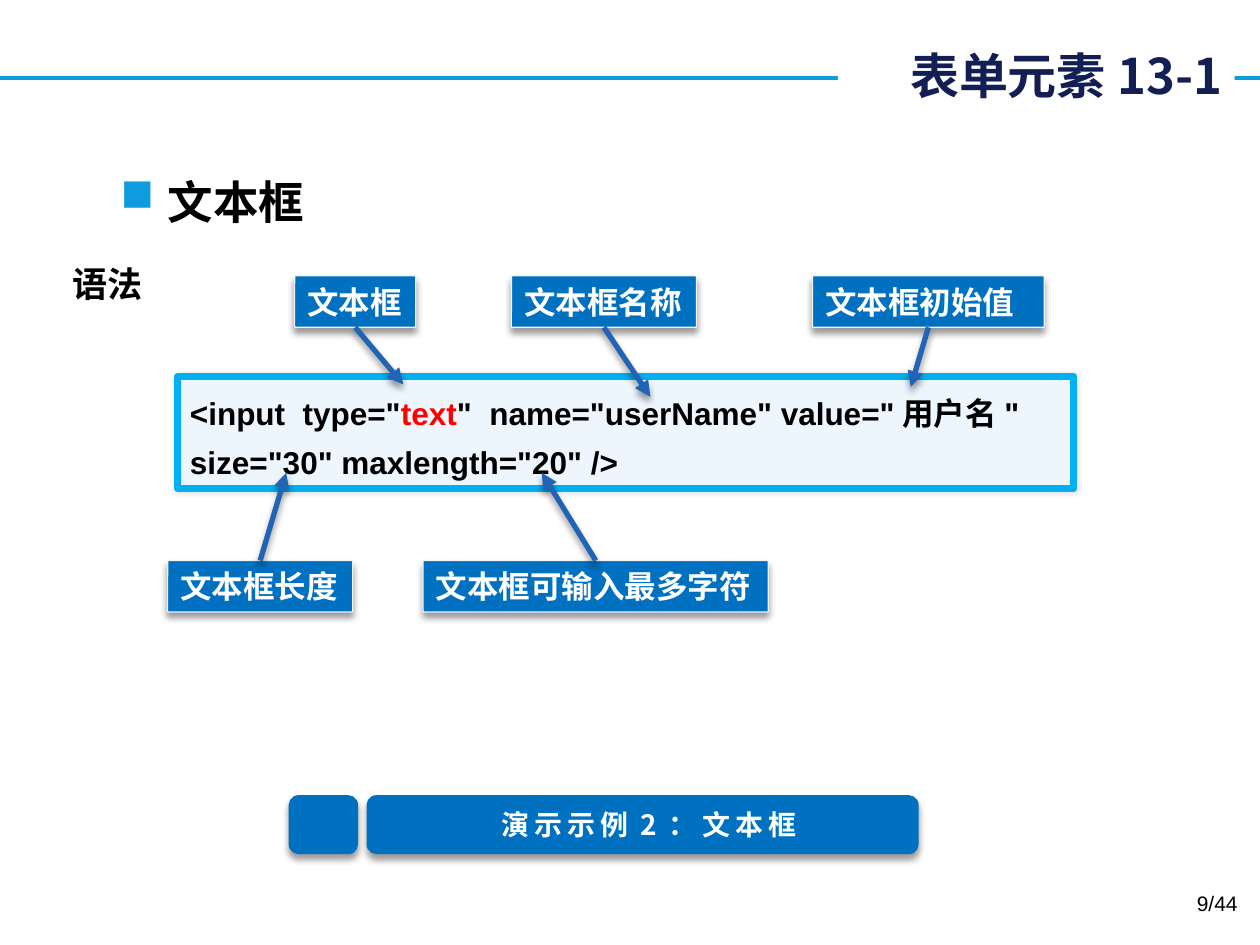
"""Builds a slide that explains the syntax of an HTML text box."""
from lxml import etree
from pptx import Presentation, util as u
from pptx.dml import color
from pptx.enum import shapes, text
from pptx.oxml.ns import qn

CJK = "Noto Sans CJK SC"
BLUE = "0070C0"
LABEL_HEIGHT = 1.04
LABELS = [
    ("文本框", 5.94, 5.56, 2.44, 8.13, 7.75),
    ("文本框名称", 10.31, 5.56, 3.73, 13.11, 8.0),
    ("文本框初始值", 16.38, 5.56, 4.67, 18.36, 7.8),
    ("文本框长度", 3.38, 11.3, 3.73, 5.77, 9.53),
    ("文本框可输入最多字符", 8.53, 11.3, 6.96, 10.92, 9.53),
]


def rgb(value):
    """Turn a hex string into a colour."""
    return color.RGBColor.from_string(value)


def add_node(parent, tag, **attributes):
    """Append a drawing element to its parent."""
    return etree.SubElement(parent, qn(tag), {k: str(v) for k, v in attributes.items()})


def add_shadow(effects, opacity=40, blur=4, distance=3, angle=90):
    """Put a black outer shadow in an effect list."""
    shadow = add_node(effects, "a:outerShdw", blurRad=u.Pt(blur), dist=u.Pt(distance),
                      dir=angle * 60000, algn="ctr", rotWithShape=0)
    black = add_node(shadow, "a:srgbClr", val="000000")
    add_node(black, "a:alpha", val=opacity * 1000)


def set_font(para, size, hue="000000", bold=True, name="Arial"):
    """Set the font of a paragraph and return its properties element."""
    font = para.font
    font.size, font.bold, font.name = u.Pt(size), bold, name
    font.color.rgb = rgb(hue)
    properties = para._p.pPr.find(qn("a:defRPr"))
    east_asian = etree.Element(qn("a:ea"), typeface=CJK)
    properties.find(qn("a:latin")).addnext(east_asian)
    return properties


def write(shape, words, size, hue="000000", align="LEFT", anchor="MIDDLE",
          wrap=True, **font):
    """Fill a shape with one paragraph and return the paragraph."""
    frame = shape.text_frame
    frame.word_wrap = wrap
    frame.vertical_anchor = text.MSO_ANCHOR[anchor]
    para = frame.paragraphs[0]
    para.alignment = text.PP_ALIGN[align]
    para.add_run().text = words
    set_font(para, size, hue, **font)
    return para


def add_text(page, place, words, size, **style):
    """Add a text box with one paragraph and return the paragraph."""
    box = page.shapes.add_textbox(*map(u.Cm, place))
    return write(box, words, size, **style)


def add_block(page, place, fill, rounding=None, line=None, width=0.75, shadow=None):
    """Add a rounded rectangle with a shadow."""
    block = page.shapes.add_shape(shapes.MSO_SHAPE.ROUNDED_RECTANGLE, *map(u.Cm, place))
    if rounding is not None:
        block.adjustments[0] = rounding
    block.fill.solid()
    block.fill.fore_color.rgb = rgb(fill)
    if line:
        block.line.color.rgb = rgb(line)
        block.line.width = u.Pt(width)
    else:
        block.line.fill.background()
    block.shadow.inherit = False
    add_shadow(block._element.spPr.find(qn("a:effectLst")), **(shadow or {}))
    return block


def add_line(page, points, hue, width):
    """Add a straight line and return it with its empty effect list."""
    line = page.shapes.add_connector(shapes.MSO_CONNECTOR.STRAIGHT, *map(u.Cm, points))
    line.line.color.rgb = rgb(hue)
    line.line.width = u.Pt(width)
    return line, add_node(line._element.spPr, "a:effectLst")


def add_label(page, words, left, top, width, tip_x, tip_y):
    """Add a label with an arrow to the code it explains."""
    label = add_block(page, (left, top, width, LABEL_HEIGHT), BLUE, 0.02, "F2F2F2")
    label.text_frame.margin_right = 0
    label.text_frame.margin_top = label.text_frame.margin_bottom = 0
    write(label, words, 18, "FFFFFF")
    arrow, effects = add_line(page, (left, top, tip_x, tip_y), "2163B4", 3)
    arrow.begin_connect(label, 2 if tip_y > top else 0)
    add_node(arrow.line._get_or_add_ln(), "a:tailEnd", type="triangle")
    add_shadow(effects)


def add_title(page):
    """Add the rule across the page and the title over it."""
    add_line(page, (0, 1.58, 25.4, 1.58), "0E9CDE", 2.25)
    title = page.shapes.add_textbox(*map(u.Cm, (16.89, 0.2, 8.0, 2.64)))
    title.fill.solid()
    title.fill.fore_color.rgb = rgb("FFFFFF")
    write(title, "表单元素13-1", 28, "121E54", "RIGHT", name=CJK)


def add_topic(page):
    """Add the bulleted topic and the syntax heading."""
    topic = add_text(page, (2.18, 3.38, 21.24, 14.3), "文本框", 26, anchor="TOP")
    properties = topic._p.pPr
    properties.set("marL", str(u.Cm(0.95)))
    properties.set("indent", str(u.Cm(-0.95)))
    bullet_color = etree.Element(qn("a:buClr"))
    add_node(bullet_color, "a:srgbClr", val="0E9CDE")
    bullet = etree.Element(qn("a:buChar"), char="■")
    for node in (bullet_color, bullet):
        properties.find(qn("a:defRPr")).addprevious(node)
    heading = add_text(page, (1.22, 5.16, 1.96, 1.12), "语法", 20, wrap=False, name=CJK)
    effects = etree.Element(qn("a:effectLst"))
    add_shadow(effects)
    heading._p.pPr.find(qn("a:defRPr")).find(qn("a:solidFill")).addnext(effects)


def add_code(page):
    """Add the framed line of code with the type in red."""
    frame = add_block(page, (3.58, 7.59, 18.06, 2.26), "EDF5FD", 0, "00B0F0", 4,
                      {"opacity": 10, "blur": 3, "distance": 0, "angle": 0})
    para = write(frame, '<input  type="', 18, anchor="TOP")
    para.line_spacing = 1.3
    span = para.add_run()
    span.text = "text"
    span.font.color.rgb = rgb("FF0000")
    para.add_run().text = '"  name="userName" value="用户名" size="30" maxlength="20" />'


def add_demo_bar(page):
    """Add the bar that names the demonstration."""
    for left, width in ((5.82, 1.4), (7.39, 11.13)):
        add_block(page, (left, 16.03, width, 1.19), BLUE)
    para = add_text(page, (9.78, 16.15, 6.6, 0.94), "演示示例2：文本框", 16,
                    hue="FBFFFE", align="CENTER", wrap=False, name=CJK)
    para._p.pPr.find(qn("a:defRPr")).set("spc", "300")


def main():
    """Build and save the deck."""
    deck = Presentation()
    deck.slide_width, deck.slide_height = u.Cm(25.4), u.Cm(19.05)
    page = deck.slides.add_slide(deck.slide_layouts[6])
    add_title(page)
    add_topic(page)
    add_code(page)
    for label in LABELS:
        add_label(page, *label)
    add_demo_bar(page)
    add_text(page, (19.28, 17.83, 5.92, 1.02), "9/44", 12,
             align="RIGHT", anchor="TOP", bold=False)
    deck.save("out.pptx")


if __name__ == "__main__":
    main()
